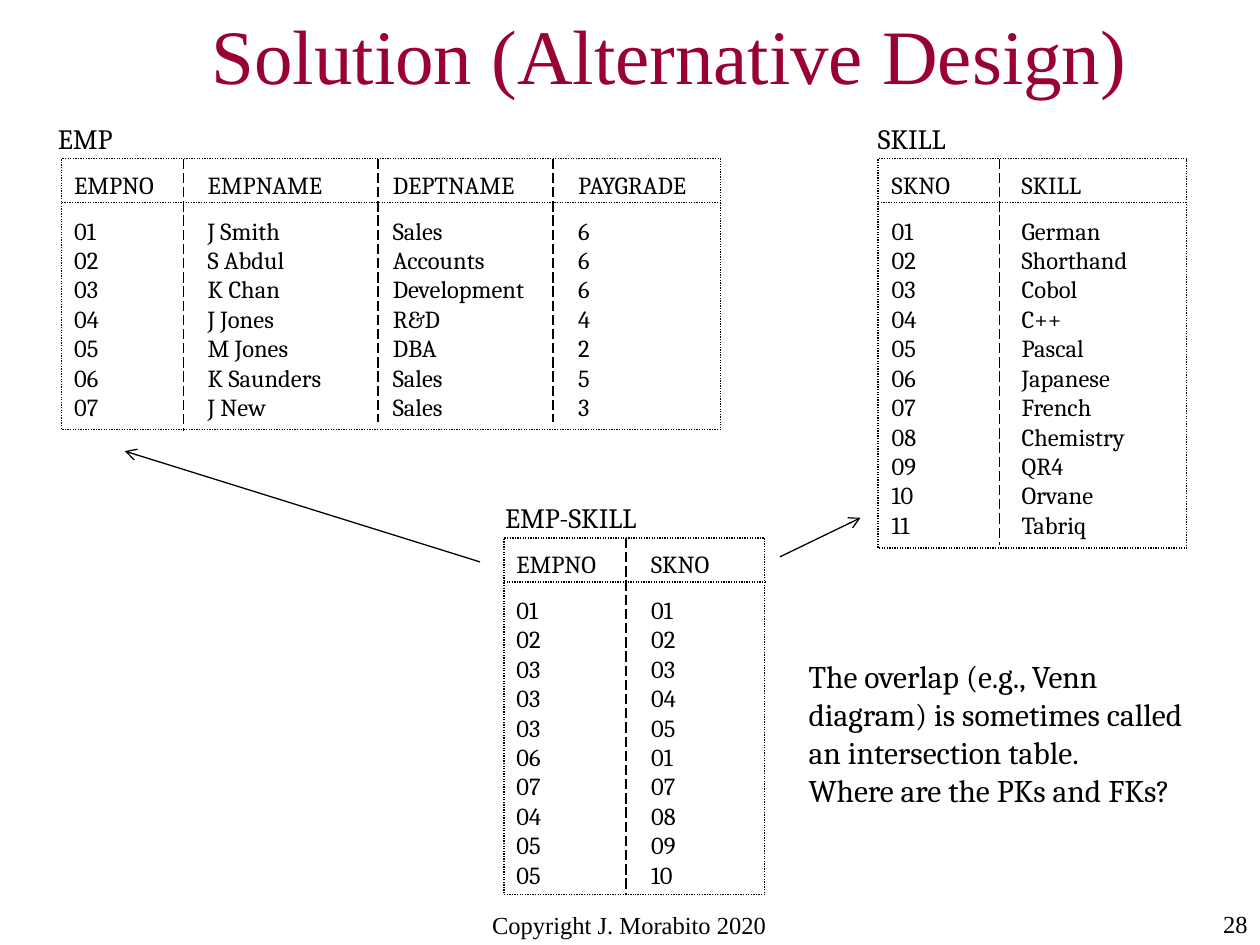
from lxml import etree
from pptx import Presentation
from pptx.dml.color import RGBColor
from pptx.enum.dml import MSO_LINE
from pptx.enum.shapes import MSO_CONNECTOR, MSO_SHAPE
from pptx.enum.text import MSO_ANCHOR, MSO_AUTO_SIZE, PP_ALIGN
from pptx.oxml.ns import qn
from pptx.util import Pt

STRAIGHT = MSO_CONNECTOR.STRAIGHT
RECTANGLE = MSO_SHAPE.RECTANGLE
DOTTED, DASHED = MSO_LINE.ROUND_DOT, MSO_LINE.LONG_DASH
MIDDLE, TOP = MSO_ANCHOR.MIDDLE, MSO_ANCHOR.TOP
LEFT, CENTER, RIGHT = PP_ALIGN.LEFT, PP_ALIGN.CENTER, PP_ALIGN.RIGHT
GROW, FIXED = MSO_AUTO_SIZE.SHAPE_TO_FIT_TEXT, MSO_AUTO_SIZE.NONE

COLORS = {"title": "990033", "ink": "000000"}
SERIF, BODY = "Times New Roman", "Cambria"

TITLE = "Solution (Alternative Design)"
COPYRIGHT = "Copyright J. Morabito 2020"
PAGE = "28"
REMARKS = [
    "The overlap (e.g., Venn diagram) is sometimes called an intersection table.",
    "Where are the PKs and FKs?",
]

# columns: (offset, width); dividers: (offset, length), all from the frame corner
RELATIONS = [
    {
        "name": "EMP", "name_at": (-9.3, 47.5),
        "frame": (35.3, 90.7, 376.5, 154.8),
        "columns": [(0, 64.8), (76.3, 88.6), (182.1, 103), (288, 85.7)],
        "dividers": [(69.5, 155.5), (180.7, 150.5), (280.7, 150.5)],
        "rows": [
            ("EMPNO", "EMPNAME", "DEPTNAME", "PAYGRADE"),
            ("01", "J Smith", "Sales", "6"),
            ("02", "S Abdul", "Accounts", "6"),
            ("03", "K Chan", "Development", "6"),
            ("04", "J Jones", "R&D", "4"),
            ("05", "M Jones", "DBA", "2"),
            ("06", "K Saunders", "Sales", "5"),
            ("07", "J New", "Sales", "3"),
        ],
    },
    {
        "name": "EMP-SKILL", "name_at": (-6.5, 92.9),
        "frame": (288, 307.4, 149, 203.8),
        "columns": [(0, 64.8), (77, 52.6)],
        "dividers": [(69.8, 204)],
        "rows": [
            ("EMPNO", "SKNO"), ("01", "01"), ("02", "02"), ("03", "03"),
            ("03", "04"), ("03", "05"), ("06", "01"), ("07", "07"),
            ("04", "08"), ("05", "09"), ("05", "10"),
        ],
    },
    {
        "name": "SKILL", "name_at": (-7.2, 54.7),
        "frame": (501.8, 90.7, 176.4, 222.5),
        "columns": [(0.7, 52.6), (74.9, 83.5)],
        "dividers": [(69.5, 220.5)],
        "rows": [
            ("SKNO", "SKILL"), ("01", "German"), ("02", "Shorthand"),
            ("03", "Cobol"), ("04", "C++"), ("05", "Pascal"),
            ("06", "Japanese"), ("07", "French"), ("08", "Chemistry"),
            ("09", "QR4"), ("10", "Orvane"), ("11", "Tabriq"),
        ],
    },
]
REFERENCES = [((445.7, 318.2), (491.8, 295.9)), ((274.3, 321.1), (71.3, 257.8))]

NAME_RISE, NAME_HEIGHT = 24.7, 26.6
HEADER_RULE, COLUMN_DROP, HEADER_GAP = 25.2, 2.7, 9.5


def add_text(shapes, text, left, top, width, height, size=14, font=BODY,
             color="ink", align=LEFT, anchor=TOP, wrap=True, fit=GROW, gap=0):
    box = shapes.add_textbox(Pt(left), Pt(top), Pt(width), Pt(height))
    frame = box.text_frame
    frame.word_wrap = wrap
    frame.auto_size = fit
    frame.vertical_anchor = anchor
    frame.text = text
    for paragraph in frame.paragraphs:
        paragraph.alignment = align
        paragraph.font.size = Pt(size)
        paragraph.font.name = font
        paragraph.font.color.rgb = RGBColor.from_string(COLORS[color])
    if gap:
        frame.paragraphs[1].space_before = Pt(gap)


def style_line(line, dash=None):
    line.color.rgb = RGBColor.from_string(COLORS["ink"])
    line.width = Pt(0.75)
    if dash:
        line.dash_style = dash


def add_line(shapes, start, end, dash=None, arrow=False):
    connector = shapes.add_connector(STRAIGHT, *map(Pt, start + end))
    style_line(connector.line, dash)
    properties = connector.element.spPr
    if arrow:
        etree.SubElement(properties.find(qn("a:ln")), qn("a:tailEnd"), type="arrow")
    etree.SubElement(properties, qn("a:effectLst"))


def add_relation(slide, relation):
    shapes = slide.shapes.add_group_shape().shapes
    left, top, width, height = relation["frame"]
    border = shapes.add_shape(RECTANGLE, *map(Pt, relation["frame"]))
    border.shadow.inherit = False
    border.fill.background()
    style_line(border.line, DOTTED)

    name_offset, name_width = relation["name_at"]
    add_text(shapes, relation["name"], left + name_offset, top - NAME_RISE,
             name_width, NAME_HEIGHT, size=16, wrap=False)
    for (offset, column_width), values in zip(relation["columns"], zip(*relation["rows"])):
        add_text(shapes, "\n".join(values), left + offset, top + COLUMN_DROP,
                 column_width, height - COLUMN_DROP, wrap=False, gap=HEADER_GAP)
    for offset, length in relation["dividers"]:
        add_line(shapes, (left + offset, top), (left + offset, top + length), DASHED)
    rule = top + HEADER_RULE
    add_line(shapes, (left, rule), (left + width, rule), DOTTED)


def main():
    deck = Presentation()
    deck.slide_width, deck.slide_height = Pt(720), Pt(540)
    slide = deck.slides.add_slide(deck.slide_layouts[6])
    shapes = slide.shapes
    add_text(shapes, TITLE, 113.8, 5.8, 606.2, 49.7, size=44, font=SERIF,
             color="title", anchor=MIDDLE, fit=FIXED)
    add_text(shapes, COPYRIGHT, 245.5, 516.2, 228.2, 18, font=SERIF,
             align=CENTER, fit=FIXED)
    add_text(shapes, PAGE, 617.8, 516.2, 102.2, 23.8, font=SERIF,
             align=RIGHT, fit=FIXED)
    for relation in RELATIONS:
        add_relation(slide, relation)
    for start, end in REFERENCES:
        add_line(shapes, start, end, arrow=True)
    add_text(shapes, "\n".join(REMARKS), 455, 372.2, 241.9, 136.8, size=18)
    deck.save("out.pptx")


if __name__ == "__main__":
    main()
